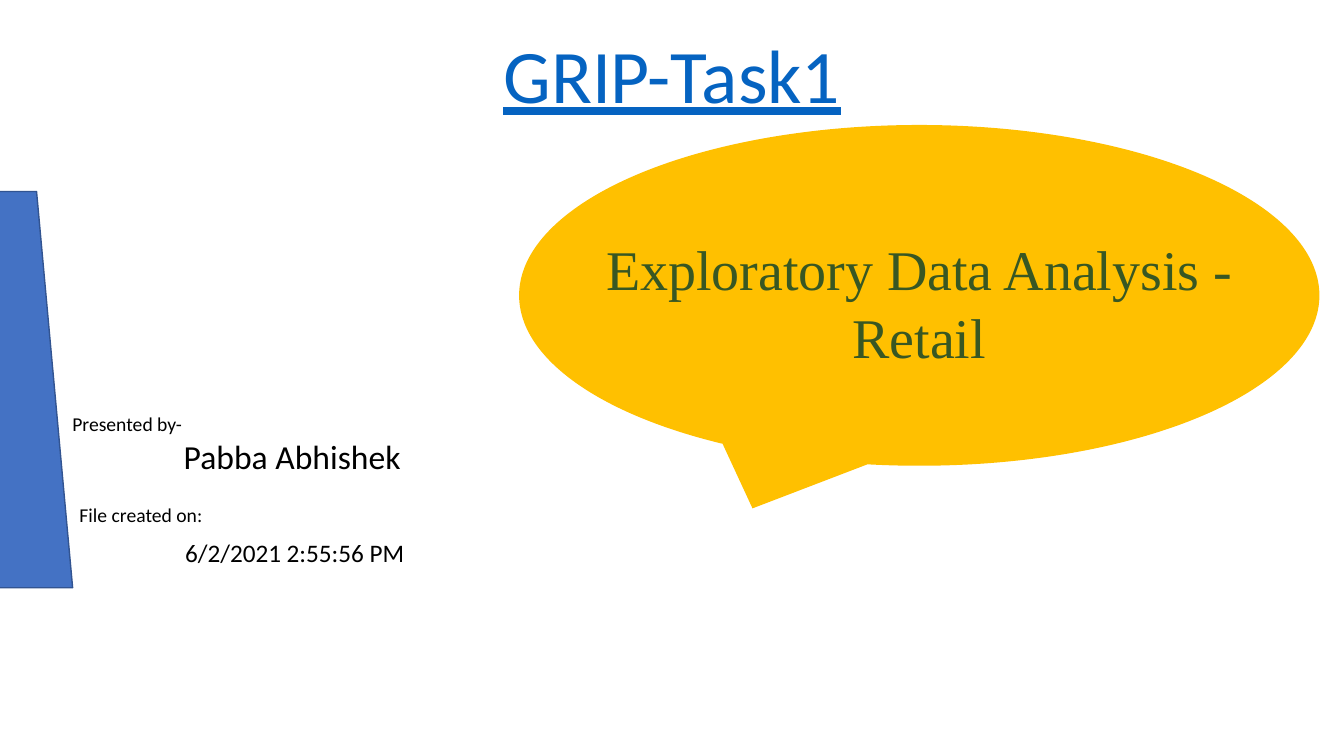
from pptx import Presentation
from pptx import util as u
from pptx.dml.color import RGBColor
from pptx.enum import shapes, text


def colour(value):
    return RGBColor.from_string(value)


class SlideBuilder:
    def __init__(self, presentation):
        self.slide = presentation.slides.add_slide(presentation.slide_layouts[5])
        self.font = "Calibri"
        self.ink = "000000"

    def fill_text(self, shape, lines, anchor=text.MSO_ANCHOR.TOP, **spacing):
        frame = shape.text_frame
        settings = {"word_wrap": True, "auto_size": text.MSO_AUTO_SIZE.NONE,
                    "vertical_anchor": anchor}
        for name, value in settings.items():
            setattr(frame, name, value)
        for index, (words, alignment, style) in enumerate(lines):
            paragraph = frame.add_paragraph() if index else frame.paragraphs[0]
            for name, value in {"alignment": alignment, **spacing}.items():
                setattr(paragraph, name, value)
            run = paragraph.add_run()
            run.text = words
            format_values = {"name": self.font, "color": self.ink, **style}
            run.font.color.rgb = colour(format_values.pop("color"))
            for name, value in format_values.items():
                setattr(run.font, name, value)

    def title(self, box, words, **style):
        shape = self.slide.shapes.title
        for name, value in zip(("left", "top", "width", "height"), box):
            setattr(shape, name, u.Pt(value))
        self.fill_text(shape, [(words, text.PP_ALIGN.CENTER, style)],
                       text.MSO_ANCHOR.BOTTOM, line_spacing=0.9)

    def text_box(self, box, lines, **spacing):
        shape = self.slide.shapes.add_textbox(*map(u.Pt, box))
        self.fill_text(shape, lines, **spacing)

    def shape(self, kind, box, fill, line=None):
        shape = self.slide.shapes.add_shape(kind, *map(u.Pt, box))
        shape.shadow.inherit = False
        shape.fill.solid()
        shape.fill.fore_color.rgb = colour(fill)
        if line:
            shape.line.color.rgb = colour(line)
            shape.line.width = u.Pt(1)
        else:
            shape.line.fill.background()


def main():
    presentation = Presentation()
    presentation.slide_width = u.Pt(960)
    presentation.slide_height = u.Pt(540)
    builder = SlideBuilder(presentation)
    left, center = text.PP_ALIGN.LEFT, text.PP_ALIGN.CENTER

    builder.title((120, 23, 720, 66.2), "GRIP-Task1",
                  size=u.Pt(54), color="0563C1", underline=True)
    builder.text_box(
        (49.7, 357.8, 321.8, 71.3),
        [("File created on:", left, {"size": u.Pt(14)}),
         ("6/2/2021 2:55:56 PM", center, {"size": u.Pt(18)})],
        line_spacing=0.9, space_before=u.Pt(10))
    builder.shape(shapes.MSO_SHAPE.TRAPEZOID, (-51.1, 136.8, 103, 283),
                  "4472C4", "325491")
    builder.text_box(
        (44.6, 290.9, 328.3, 53.3),
        [("Presented by-", left, {"size": u.Pt(14)}),
         ("Pabba Abhishek", center, {"size": u.Pt(24)})])
    builder.shape(shapes.MSO_SHAPE.OVAL_CALLOUT, (370.8, 89.3, 571.7, 243.4), "FFC000")
    builder.text_box(
        (424.8, 164.2, 463.7, 104.4),
        [("Exploratory Data Analysis - Retail", center,
          {"size": u.Pt(40), "name": "Times New Roman", "color": "385723"})])
    presentation.save("out.pptx")


if __name__ == "__main__":
    main()
